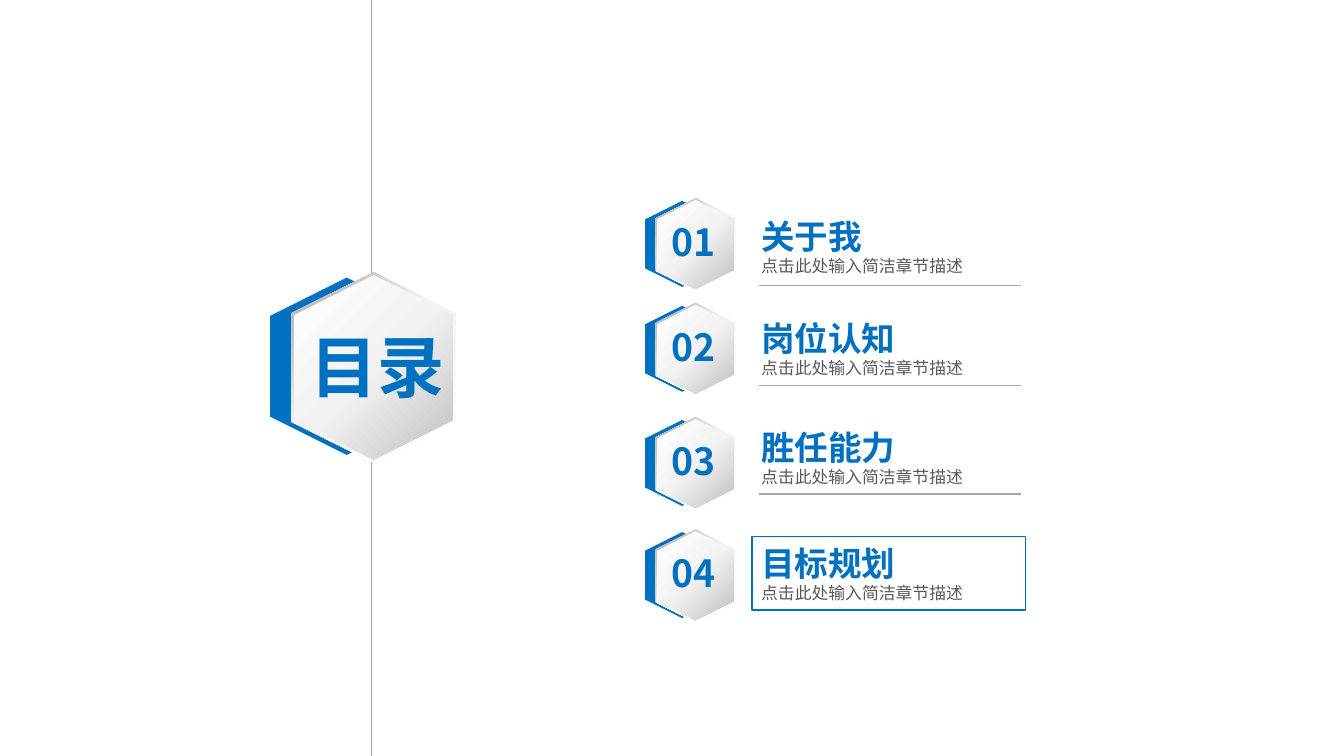
from copy import deepcopy
from dataclasses import dataclass
from typing import NamedTuple

from pptx import Presentation
from pptx.dml.color import RGBColor
from pptx.enum.shapes import MSO_CONNECTOR, MSO_SHAPE
from pptx.enum.text import MSO_AUTO_SIZE
from pptx.oxml.ns import qn
from pptx.util import Emu, Pt

HEXAGON = MSO_SHAPE.HEXAGON
RECTANGLE = MSO_SHAPE.RECTANGLE
STRAIGHT = MSO_CONNECTOR.STRAIGHT
FIT_SHAPE = MSO_AUTO_SIZE.SHAPE_TO_FIT_TEXT
BLANK_LAYOUT = 6
EMU_PER_PX = 4572  # 200 px to the inch
SLIDE_WIDTH, SLIDE_HEIGHT = 2000, 1125


class Frame(NamedTuple):
    left: int
    top: int
    width: int
    height: int

    def lowered(self, distance: int) -> "Frame":
        return self._replace(top=self.top + distance)


class Gradient(NamedTuple):
    stops: tuple[tuple[float, str], ...]
    angle: int


@dataclass(frozen=True)
class Theme:
    font: str = "Noto Sans CJK SC"
    accent: str = "0070C0"
    body: str = "595959"
    rule: str = "A6A6A6"
    rim: Gradient = Gradient(((0, "FFFFFF"), (0.55, "F2F2F2"), (1, "A6A6A6")), 225)
    face: Gradient = Gradient(((0, "FFFFFF"), (0.51, "F2F2F2"), (1, "BFBFBF")), 45)
    heading_size: int = 36
    number_size: int = 20
    title_size: int = 18
    note_size: int = 9
    line_width: float = 0.75


@dataclass(frozen=True)
class Chapter:
    title: str
    text_top: int
    rule_top: int
    badge_top: int


THEME = Theme()
NOTE = "点击此处输入简洁章节描述"
CHAPTERS = (
    Chapter("关于我", 311, 425, 305),
    Chapter("岗位认知", 463, 574, 461),
    Chapter("胜任能力", 625, 735, 631),
    Chapter("目标规划", 798, 908, 798),
)


def px(length: int) -> Emu:
    return Emu(length * EMU_PER_PX)


def color(value: str) -> RGBColor:
    return RGBColor.from_string(value)


def place(frame: Frame) -> tuple[Emu, ...]:
    return tuple(px(length) for length in frame)


def add_hexagon(shapes, frame: Frame, paint: str | Gradient) -> None:
    hexagon = shapes.add_shape(HEXAGON, *place(frame))
    hexagon.rotation = 90
    hexagon.shadow.inherit = False
    hexagon.line.fill.background()
    if isinstance(paint, str):
        hexagon.fill.solid()
        hexagon.fill.fore_color.rgb = color(paint)
        return
    hexagon.fill.gradient()
    hexagon.fill.gradient_angle = paint.angle
    # The default gradient has two stops; a third is needed
    stop_list = hexagon._element.spPr.find(".//" + qn("a:gsLst"))
    stop_list.append(deepcopy(stop_list[-1]))
    for stop, (position, value) in zip(hexagon.fill.gradient_stops, paint.stops):
        stop.position = position
        stop.color.rgb = color(value)


def add_line(shapes, start: tuple[int, int], end: tuple[int, int]) -> None:
    line = shapes.add_connector(STRAIGHT, *map(px, start + end))
    line.line.color.rgb = color(THEME.rule)
    line.line.width = Pt(THEME.line_width)
    properties = line._element.spPr
    properties.append(properties.makeelement(qn("a:effectLst"), {}))


def add_text_box(shapes, frame: Frame):
    box = shapes.add_textbox(*place(frame))
    box.text_frame.word_wrap = False
    box.text_frame.auto_size = FIT_SHAPE
    return box.text_frame


def write(para, text: str, *, size: int, fill: str, bold: bool = False) -> None:
    span = para.add_run()
    span.text = text
    span.font.name = THEME.font
    span.font.size = Pt(size)
    span.font.bold = bold
    span.font.color.rgb = color(fill)
    properties = span.font._element
    latin = properties.find(qn("a:latin"))
    latin.addnext(properties.makeelement(qn("a:ea"), {"typeface": THEME.font}))


def add_heading(page) -> None:
    add_line(page.shapes, (553, 0), (553, SLIDE_HEIGHT))
    add_hexagon(page.shapes, Frame(384, 431, 264, 228), THEME.accent)
    plate = page.shapes.add_group_shape().shapes
    add_hexagon(plate, Frame(414, 425, 284, 244), THEME.rim)
    add_hexagon(plate, Frame(419, 429, 274, 236), THEME.face)
    words = add_text_box(page.shapes, Frame(442, 474, 242, 142))
    write(words.paragraphs[0], "目录", size=THEME.heading_size, fill=THEME.accent, bold=True)


def add_badge(page, number: int, top: int) -> None:
    badge = page.shapes.add_group_shape().shapes
    add_hexagon(badge, Frame(951, 3, 128, 110).lowered(top), THEME.accent)
    add_hexagon(badge, Frame(966, 0, 138, 118).lowered(top), THEME.rim)
    add_hexagon(badge, Frame(969, 2, 132, 114).lowered(top), THEME.face)
    words = add_text_box(badge, Frame(980, 11, 110, 88).lowered(top))
    write(words.paragraphs[0], f"{number:02}", size=THEME.number_size, fill=THEME.accent, bold=True)


def add_chapter(page, number: int, chapter: Chapter) -> None:
    words = add_text_box(page.shapes, Frame(1113, chapter.text_top, 344, 112))
    write(words.paragraphs[0], chapter.title, size=THEME.title_size, fill=THEME.accent, bold=True)
    write(words.add_paragraph(), NOTE, size=THEME.note_size, fill=THEME.body)
    add_line(page.shapes, (1130, chapter.rule_top), (1520, chapter.rule_top))
    add_badge(page, number, chapter.badge_top)


def add_highlight(page, chapter: Chapter) -> None:
    height = chapter.rule_top - chapter.text_top
    outline = page.shapes.add_shape(RECTANGLE, *place(Frame(1119, chapter.text_top, 407, height)))
    outline.shadow.inherit = False
    outline.fill.background()
    outline.line.color.rgb = color(THEME.accent)
    outline.line.width = Pt(THEME.line_width)


def main() -> None:
    deck = Presentation()
    deck.slide_width, deck.slide_height = px(SLIDE_WIDTH), px(SLIDE_HEIGHT)
    page = deck.slides.add_slide(deck.slide_layouts[BLANK_LAYOUT])

    # Contents heading on the vertical line
    add_heading(page)

    # Numbered chapters, the last one outlined
    for number, chapter in enumerate(CHAPTERS, start=1):
        add_chapter(page, number, chapter)
    add_highlight(page, CHAPTERS[-1])

    deck.save("out.pptx")


if __name__ == "__main__":
    main()
